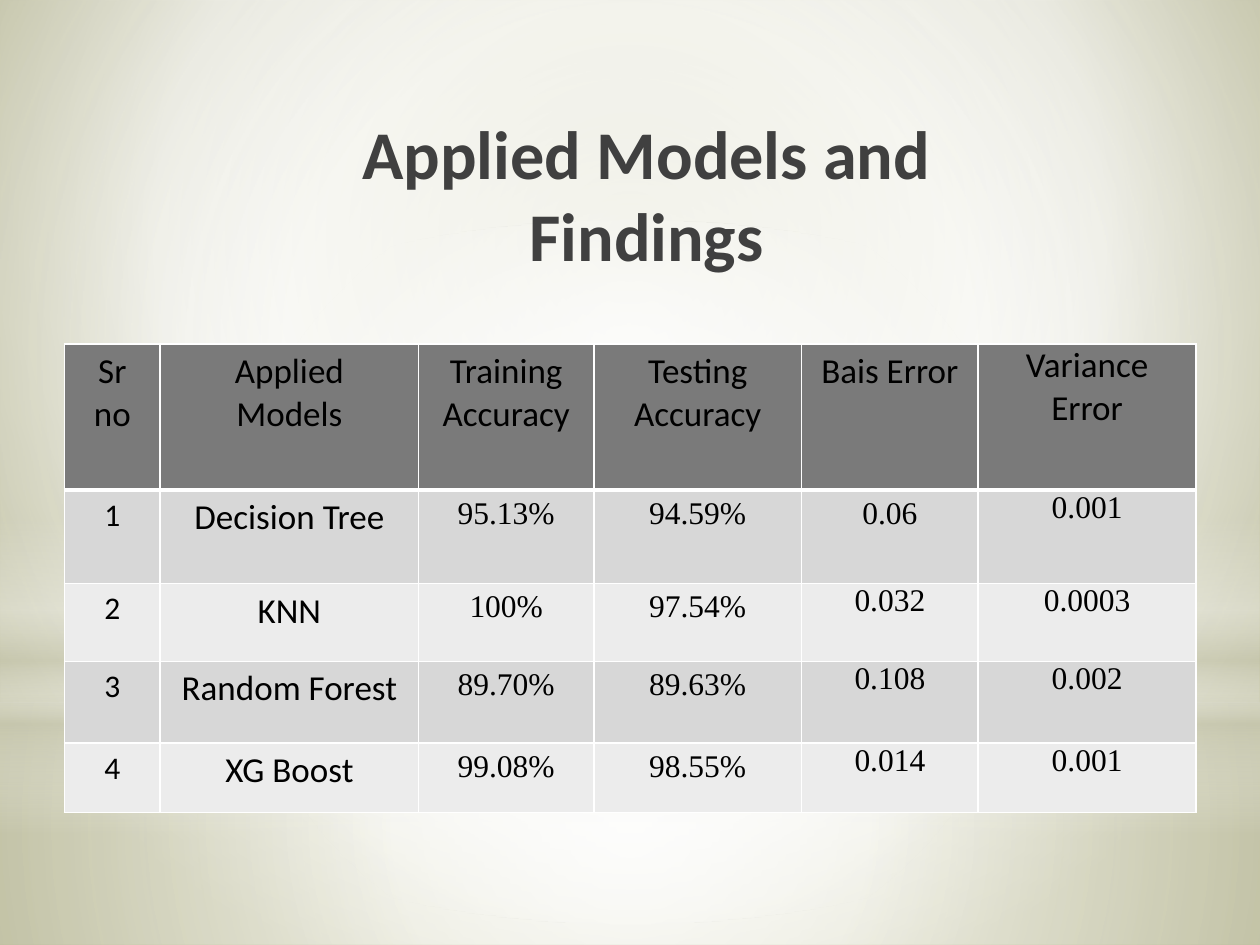
from lxml import etree
from pptx import Presentation
from pptx.dml.color import RGBColor
from pptx.enum.shapes import MSO_SHAPE
from pptx.enum.text import MSO_ANCHOR, PP_ALIGN
from pptx.oxml.ns import qn
from pptx.util import Cm, Pt

RECTANGLE, ELLIPSE = MSO_SHAPE.RECTANGLE, MSO_SHAPE.OVAL
CENTER, MIDDLE = PP_ALIGN.CENTER, MSO_ANCHOR.MIDDLE

COLORS = {
    "white": "FFFFFF", "sand": "C8C8B1", "olive": "C7C7A5", "cream": "FBFBF9",
    "moss": "B1B180", "title": "404040", "text": "000000",
    "header": "7A7A7A", "odd": "D7D7D7", "even": "ECECEC",
}
SANS, SERIF = "Calibri", "Times New Roman"
SLIDE_WIDTH, SLIDE_HEIGHT = 25.4, 19.05
HORIZON = 14.17

TITLE = "Applied Models and Findings"
HEADERS = ["Sr no", "Applied\nModels", "Training\nAccuracy", "Testing\nAccuracy",
           "Bais Error", "Variance Error"]
RESULTS = [
    ("1", "Decision Tree", "95.13%", "94.59%", "0.06", "0.001"),
    ("2", "KNN", "100%", "97.54%", "0.032", "0.0003"),
    ("3", "Random Forest", "89.70%", "89.63%", "0.108", "0.002"),
    ("4", "XG Boost", "99.08%", "98.55%", "0.014", "0.001"),
]
COLUMN_WIDTHS = [1.93, 5.21, 3.53, 4.19, 3.56, 4.39]
ROW_HEIGHTS = [2.95, 1.88, 1.57, 1.65, 1.4]
COLUMN_FONTS = [(SANS, 18), (SANS, 20)] + [(SERIF, 18)] * 4

# Gradient stops: position, colour, opacity (all in percent).
# Focus: left, top, right, bottom of a round gradient; None runs downwards.
MIDPOINT = (50, 50, 50, 50)
BACKDROP = [(0, "olive", 100), (60, "cream", 100), (100, "moss", 100)]
BACKDROP_FOCUS = (20, 10, 20, 60)
LAYERS = [  # shape, top, height, stops, focus
    (RECTANGLE, HORIZON, SLIDE_HEIGHT - HORIZON,
     [(0, "white", 91), (37, "white", 76), (100, "sand", 79)], MIDPOINT),
    (RECTANGLE, 0, HORIZON,
     [(0, "white", 89), (48, "white", 62), (100, "sand", 79)], MIDPOINT),
    (RECTANGLE, 10.46, 6.35,
     [(0, "white", 0), (29, "white", 30), (45, "sand", 40),
      (55, "white", 26), (65, "sand", 60), (100, "white", 0)], None),
    (ELLIPSE, 4.45, HORIZON, [(0, "white", 100), (56, "white", 0)], MIDPOINT),
]


def rgb(name):
    return RGBColor.from_string(COLORS[name])


def add_element(parent, tag, **attributes):
    return etree.SubElement(parent, qn(tag),
                            {key: str(value) for key, value in attributes.items()})


def apply_gradient(fill, owner, stops, focus):
    fill.gradient()
    gradient = owner.find(".//" + qn("a:gradFill"))
    for child in list(gradient):
        gradient.remove(child)
    stop_list = add_element(gradient, "a:gsLst")
    for position, color, opacity in stops:
        stop = add_element(stop_list, "a:gs", pos=position * 1000)
        tint = add_element(stop, "a:srgbClr", val=COLORS[color])
        if opacity < 100:
            add_element(tint, "a:alpha", val=opacity * 1000)
    if focus:
        circle = add_element(gradient, "a:path", path="circle")
        add_element(circle, "a:fillToRect",
                    **{side: value * 1000 for side, value in zip("ltrb", focus)})
    else:
        add_element(gradient, "a:lin", ang=90 * 60000, scaled=0)


def add_text(paragraph, text, font, size, color, bold=False):
    paragraph.alignment = CENTER
    run = paragraph.add_run()
    run.text = text
    run.font.name, run.font.size, run.font.bold = font, Pt(size), bold
    run.font.color.rgb = rgb(color)


def add_borders(cell, row):
    """White rules, heavier between the header and the results."""
    heavy_side = {0: "B", 1: "T"}.get(row)
    for side in "LRTB":
        width = Pt(3 if side == heavy_side else 1)
        line = add_element(cell._tc.get_or_add_tcPr(), f"a:ln{side}", w=width)
        add_element(add_element(line, "a:solidFill"), "a:srgbClr", val=COLORS["white"])


def add_backdrop(slide):
    apply_gradient(slide.background.fill, slide.element, BACKDROP, BACKDROP_FOCUS)
    for kind, top, height, stops, focus in LAYERS:
        layer = slide.shapes.add_shape(kind, 0, Cm(top), Cm(SLIDE_WIDTH), Cm(height))
        layer.shadow.inherit = False
        layer.line.fill.background()
        apply_gradient(layer.fill, layer.element, stops, focus)


def add_title(slide):
    frame = slide.shapes.add_textbox(Cm(4.5), Cm(2.03), Cm(16.94), Cm(3.73)).text_frame
    frame.word_wrap = True
    frame.vertical_anchor = MIDDLE
    paragraph = frame.paragraphs[0]
    paragraph.space_after = Pt(3)
    add_text(paragraph, TITLE, SANS, 39, "title", bold=True)
    paragraph._p.get_or_add_pPr().set("marL", str(Cm(0.13)))


def add_results(slide):
    rows = [HEADERS] + RESULTS
    table = slide.shapes.add_table(
        len(rows), len(HEADERS), Cm(1.3), Cm(6.93),
        Cm(sum(COLUMN_WIDTHS)), Cm(sum(ROW_HEIGHTS))).table
    for column, width in zip(table.columns, COLUMN_WIDTHS):
        column.width = Cm(width)
    for r, values in enumerate(rows):
        table.rows[r].height = Cm(ROW_HEIGHTS[r])
        band = "header" if r == 0 else "odd" if r % 2 else "even"
        for c, value in enumerate(values):
            cell = table.cell(r, c)
            add_borders(cell, r)
            cell.fill.solid()
            cell.fill.fore_color.rgb = rgb(band)
            if c == 5 or (c == 4 and r > 1):
                cell.margin_left = cell.margin_right = Cm(0.18)
                cell.margin_top = cell.margin_bottom = 0
            font, size = COLUMN_FONTS[c] if r else (SANS, 20)
            frame = cell.text_frame
            for i, line in enumerate(value.split("\n")):
                paragraph = frame.add_paragraph() if i else frame.paragraphs[0]
                add_text(paragraph, line, font, size, "text")


def main():
    deck = Presentation()
    deck.slide_width, deck.slide_height = Cm(SLIDE_WIDTH), Cm(SLIDE_HEIGHT)
    slide = deck.slides.add_slide(deck.slide_layouts[6])
    add_backdrop(slide)
    add_title(slide)
    add_results(slide)
    deck.save("out.pptx")


if __name__ == "__main__":
    main()
